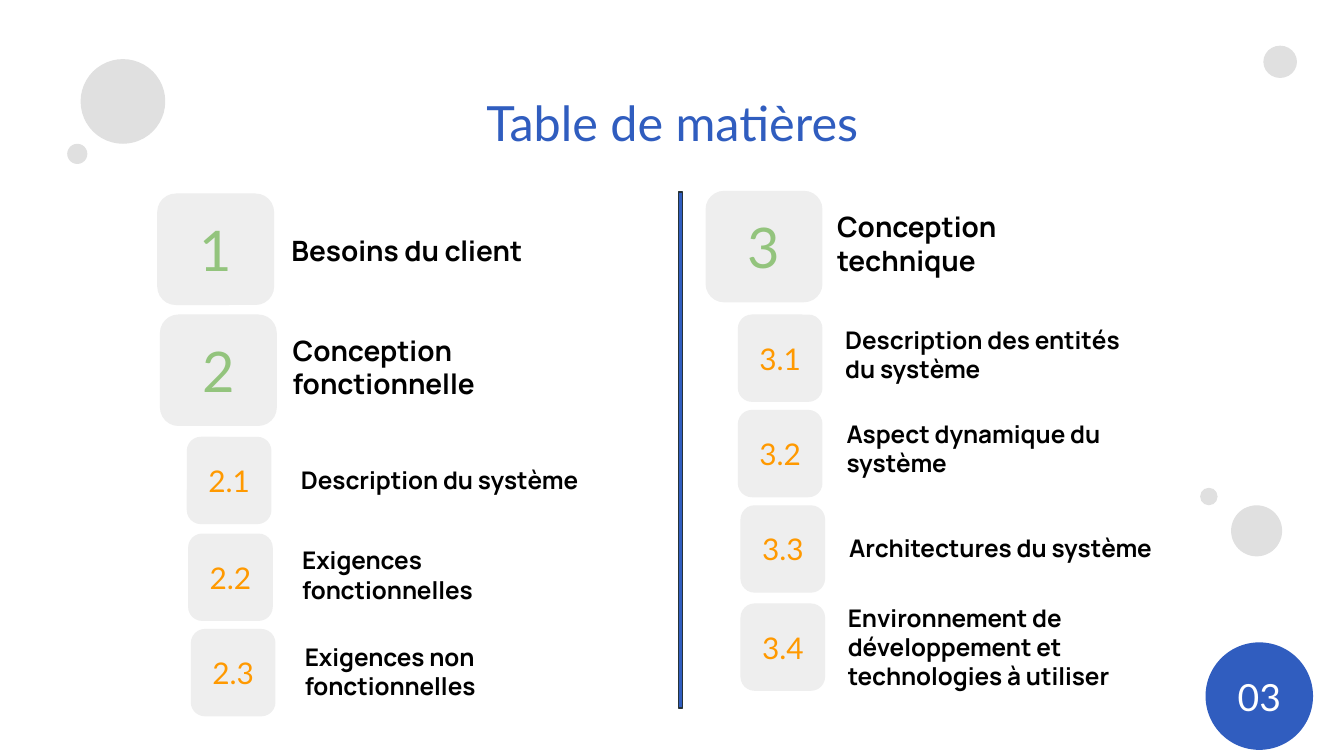
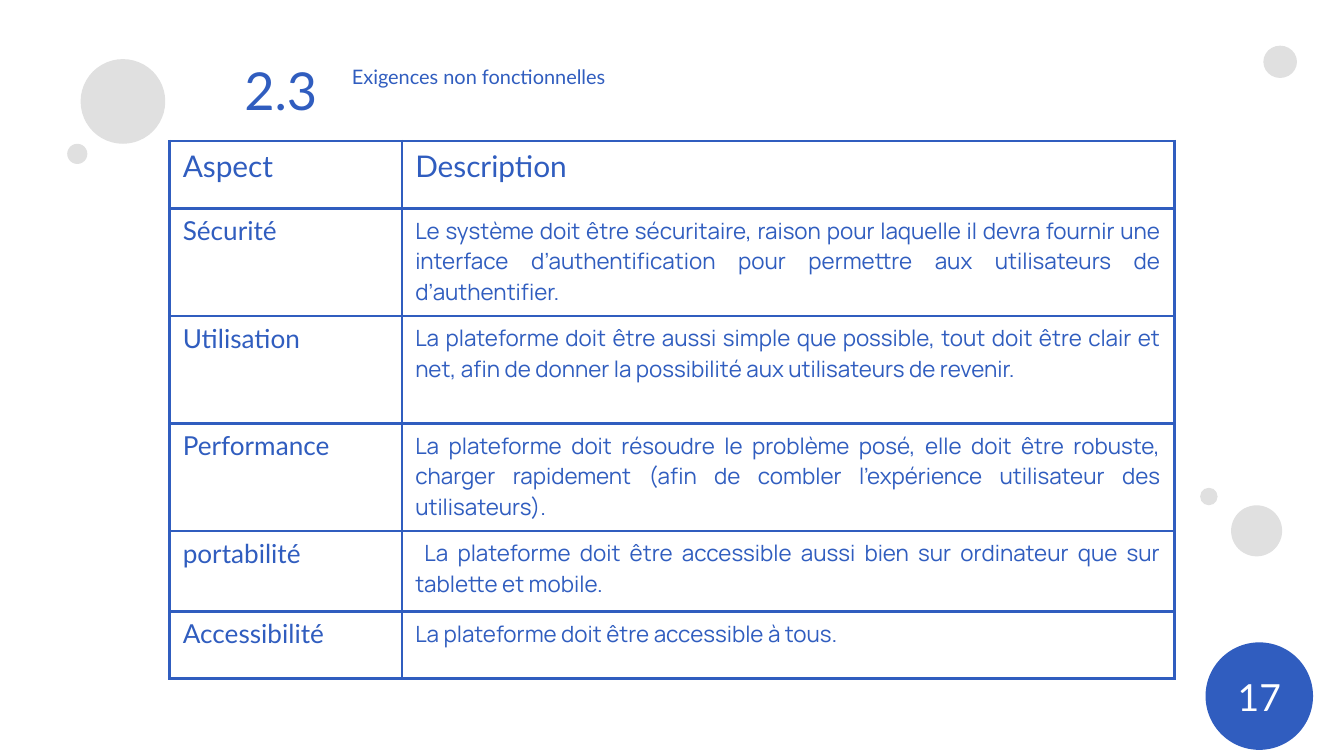
from dataclasses import dataclass

from lxml.etree import SubElement
from pptx import Presentation
from pptx.dml.color import RGBColor as RGB
from pptx.enum.shapes import MSO_SHAPE as Shape
from pptx.enum.text import MSO_ANCHOR as Anchor, MSO_AUTO_SIZE as AutoSize, PP_ALIGN as Align
from pptx.oxml.ns import qn
from pptx.util import Inches, Pt


@dataclass(frozen=True)
class Theme:
    blue: str = "305DBF"
    dark: str = "263238"
    bubble: str = "E0E0E0"
    badge: str = "EEEEEE"
    green: str = "93C47D"
    orange: str = "FF9900"
    black: str = "000000"
    white: str = "FFFFFF"
    head: str = "Lato"
    body: str = "Manrope"
    title: float = 26
    section_number: float = 28
    section_title: float = 10.7
    page: float = 20
    table_head: float = 16
    table_aspect: float = 14
    table_body: float = 12
    border: float = 1.47


T = Theme()


@dataclass(frozen=True)
class Level:
    """Look of one level of the table of contents."""
    width: float
    height: float
    number_size: float
    number_color: str
    text_size: float


CHAPTER = Level(0.87, 0.83, 30, T.green, 15)
SECTION = Level(0.63, 0.65, 16, T.orange, 13)

# left, top, width, height
BUBBLES = [
    (9.16, 3.76, 0.38, 0.38),
    (8.93, 3.63, 0.13, 0.13),
    (0.6, 0.44, 0.63, 0.63),
    (0.5, 1.07, 0.15, 0.15),
    (9.4, 0.34, 0.25, 0.24),
]

# level, number, badge offset, text, text box offset and size
LEFT_ITEMS = [
    (CHAPTER, "1", (0, 0), "Besoins du client", (0.9, 0.2, 2.28, 0.45)),
    (CHAPTER, "2", (0.02, 0.9), "Conception fonctionnelle", (0.91, 0.94, 2.5, 0.7)),
    (SECTION, "2.1", (0.22, 1.81), "Description du système", (0.97, 1.92, 2.28, 0.63)),
    (SECTION, "2.2", (0.23, 2.53), "Exigences fonctionnelles", (0.98, 2.52, 2.28, 0.63)),
    (SECTION, "2.3", (0.25, 3.24), "Exigences non fonctionnelles", (1, 3.24, 2.5, 0.63)),
]
RIGHT_ITEMS = [
    (CHAPTER, "3", (0, 0), "Conception technique", (0.88, 0.04, 2.28, 0.7)),
    (SECTION, "3.1", (0.24, 0.92), "Description des entités du système",
     (0.94, 0.9, 2.28, 0.63)),
    (SECTION, "3.2", (0.24, 1.63), "Aspect dynamique du système", (0.95, 1.6, 2.28, 0.63)),
    (SECTION, "3.3", (0.26, 2.34), "Architectures du système", (0.97, 2.45, 2.5, 0.63)),
    (SECTION, "3.4", (0.26, 3.07), "Environnement de développement et technologies à utiliser",
     (0.96, 2.97, 2.5, 1.07)),
]

REQUIREMENTS = [
    ("Aspect", "Description"),
    ("Sécurité", "Le système doit être sécuritaire, raison pour laquelle il devra fournir une "
                 "interface d’authentification pour permettre aux utilisateurs de d’authentifier."),
    ("Utilisation", "La plateforme doit être aussi simple que possible, tout doit être clair et "
                    "net, afin de donner la possibilité aux utilisateurs de revenir."),
    ("Performance", "La plateforme doit résoudre le problème posé, elle doit être robuste, "
                    "charger rapidement (afin de combler l’expérience utilisateur des "
                    "utilisateurs)."),
    ("portabilité", " La plateforme doit être accessible aussi bien sur ordinateur que sur "
                    "tablette et mobile."),
    ("Accessibilité", "La plateforme doit être accessible à tous."),
]
COL_WIDTHS = [1.73, 5.75]
ROW_HEIGHTS = [0.5, 0.8, 0.8, 0.8, 0.6, 0.5]


def inches(box):
    return [Inches(v) for v in box]


def write(tf, text, size, color, font=T.head, align=Align.LEFT, bold=False):
    p = tf.paragraphs[0]
    p.alignment = align
    r = p.add_run()
    r.text = text
    r.font.name, r.font.size, r.font.bold = font, Pt(size), bold
    r.font.color.rgb = RGB.from_string(color)


def set_margins(tf):
    tf.word_wrap = True
    tf.margin_left = tf.margin_top = tf.margin_right = tf.margin_bottom = Inches(0.1)


def add_text(slide, box, text, size, color, grow=False, **style):
    tf = slide.shapes.add_textbox(*inches(box)).text_frame
    set_margins(tf)
    tf.auto_size = AutoSize.SHAPE_TO_FIT_TEXT if grow else AutoSize.NONE
    write(tf, text, size, color, **style)


def add_block(slide, kind, box, fill, text="", size=0, color=T.white):
    sp = slide.shapes.add_shape(kind, *inches(box))
    sp.shadow.inherit = False
    sp.fill.solid()
    sp.fill.fore_color.rgb = RGB.from_string(fill)
    sp.line.fill.background()
    if text:
        set_margins(sp.text_frame)
        sp.text_frame.vertical_anchor = Anchor.MIDDLE
        write(sp.text_frame, text, size, color, align=Align.CENTER)
    return sp


def new_slide(prs, page):
    """Blank slide with the shared bubbles and page number."""
    slide = prs.slides.add_slide(prs.slide_layouts[6])
    for box in BUBBLES:
        add_block(slide, Shape.OVAL, box, T.bubble)
    add_block(slide, Shape.OVAL, (8.97, 4.78, 0.8, 0.8), T.blue, page, T.page)
    return slide


def contents_column(slide, left, top, items):
    for level, number, (dx, dy), text, (tx, ty, w, h) in items:
        badge = (left + dx, top + dy, level.width, level.height)
        add_block(slide, Shape.ROUNDED_RECTANGLE, badge, T.badge,
                  number, level.number_size, level.number_color)
        add_text(slide, (left + tx, top + ty, w, h), text, level.text_size, T.black,
                 grow=True, font=T.body, bold=True)


def set_borders(cell):
    tc_pr = cell._tc.get_or_add_tcPr()
    for i, side in enumerate("LRTB"):
        ln = SubElement(tc_pr, qn(f"a:ln{side}"), w=str(Pt(T.border)))
        SubElement(SubElement(ln, qn("a:solidFill")), qn("a:srgbClr"), val=T.blue)
        tc_pr.insert(i, ln)  # borders come before the fill


def requirements_table(slide, left, top):
    box = (left, top, sum(COL_WIDTHS), sum(ROW_HEIGHTS))
    frame = slide.shapes.add_table(len(REQUIREMENTS), len(COL_WIDTHS), *inches(box))
    table = frame.table
    table.first_row = table.horz_banding = False
    for col, width in zip(table.columns, COL_WIDTHS):
        col.width = Inches(width)
    for i, (row, height) in enumerate(zip(table.rows, ROW_HEIGHTS)):
        row.height = Inches(height)
        for j, cell in enumerate(row.cells):
            if i == 0:
                size, font, align = T.table_head, T.head, Align.LEFT
            elif j == 0:
                size, font, align = T.table_aspect, T.head, Align.JUSTIFY
            else:
                size, font, align = T.table_body, T.body, Align.JUSTIFY
            cell.fill.background()
            set_borders(cell)
            write(cell.text_frame, REQUIREMENTS[i][j], size, T.blue, font, align)


def contents_slide(prs):
    slide = new_slide(prs, "03")
    add_text(slide, (1.32, 0.59, 7.37, 0.74), "Table de matières", T.title, T.blue,
             align=Align.CENTER)
    contents_column(slide, 1.17, 1.44, LEFT_ITEMS)
    # Divider between the columns
    divider = add_block(slide, Shape.RECTANGLE, (5.05, 1.43, 0.03, 3.84), T.blue)
    divider.line.color.rgb = RGB.from_string(T.dark)
    divider.line.width = Pt(0.75)
    contents_column(slide, 5.25, 1.42, RIGHT_ITEMS)


def requirements_slide(prs):
    slide = new_slide(prs, "17")
    # Section heading
    add_text(slide, (2.52, 0.38, 5.54, 0.69), "Exigences non fonctionnelles",
             T.section_title, T.blue)
    add_text(slide, (1.72, 0.33, 0.96, 0.67), "2.3", T.section_number, T.blue, grow=True)
    requirements_table(slide, 1.26, 1.05)


def main():
    prs = Presentation()
    # 16:9 page
    prs.slide_width = Inches(10)
    prs.slide_height = Inches(10 * 9 / 16)
    contents_slide(prs)
    requirements_slide(prs)
    prs.save("out.pptx")


if __name__ == "__main__":
    main()
